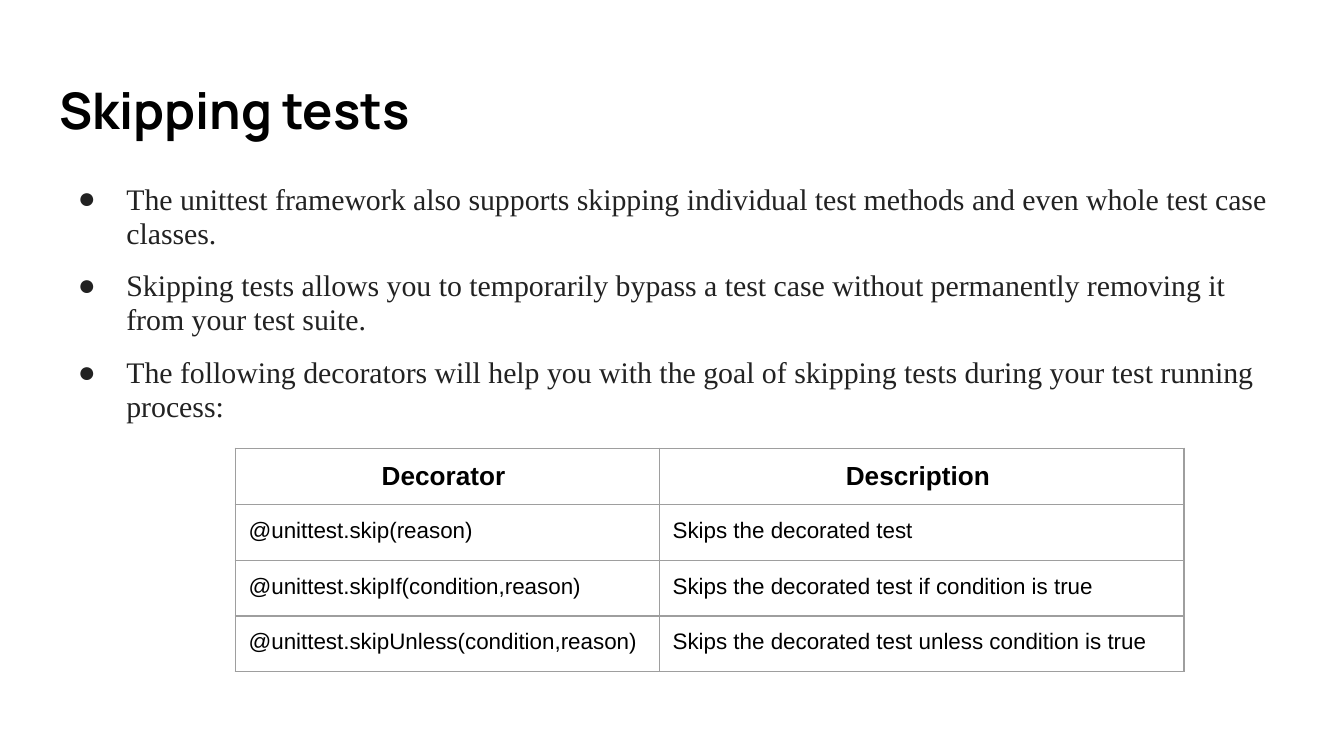
from lxml.etree import SubElement
from pptx import Presentation
from pptx.dml.color import RGBColor
from pptx.enum.text import MSO_ANCHOR, MSO_AUTO_SIZE, PP_ALIGN
from pptx.oxml.ns import qn
from pptx.util import Emu, Pt

PX = 4572  # 200 px to the inch
SLIDE_WIDTH, SLIDE_HEIGHT = 2000, 1125
INSET = 20
LEFT, WIDTH = 68, 1864

BLACK = RGBColor(0x00, 0x00, 0x00)
DARK_GRAY = RGBColor(0x22, 0x22, 0x22)
BORDER_GRAY = RGBColor(0x9E, 0x9E, 0x9E)

BULLETS = [
    "The unittest framework also supports skipping individual test methods "
    "and even whole test case classes.",
    "Skipping tests allows you to temporarily bypass a test case without "
    "permanently removing it from your test suite.",
    "The following decorators will help you with the goal of skipping tests "
    "during your test running process:",
]
ROWS = [
    ("Decorator ", "Description "),
    ("@unittest.skip(reason)", "Skips the decorated test"),
    ("@unittest.skipIf(condition,reason)",
     "Skips the decorated test if condition is true"),
    ("@unittest.skipUnless(condition,reason)",
     "Skips the decorated test unless condition is true"),
]
COLUMN_WIDTHS = (631, 781)
ROW_HEIGHT = 83


def px(length):
    return Emu(length * PX)


def set_font(paragraph, name, size, color, bold=False):
    font = paragraph.font
    font.name, font.size, font.bold = name, Pt(size), bold
    font.color.rgb = color


def set_insets(target):
    target.margin_left = target.margin_right = px(INSET)
    target.margin_top = target.margin_bottom = px(INSET)


def place_placeholder(shape, top, height):
    shape.left, shape.top = px(LEFT), px(top)
    shape.width, shape.height = px(WIDTH), px(height)
    frame = shape.text_frame
    set_insets(frame)
    frame.word_wrap = True
    frame.auto_size = MSO_AUTO_SIZE.NONE
    frame.vertical_anchor = MSO_ANCHOR.TOP
    return frame


def set_bullet(paragraph, character, color):
    properties = paragraph._p.get_or_add_pPr()
    properties.set("marL", str(px(100)))
    properties.set("indent", str(px(-72)))
    bullet_color = SubElement(properties, qn("a:buClr"))
    SubElement(bullet_color, qn("a:srgbClr"), val=str(color))
    SubElement(properties, qn("a:buFont"), typeface="Times New Roman")
    SubElement(properties, qn("a:buChar"), char=character)


def set_borders(cell, color, width):
    properties = cell._tc.get_or_add_tcPr()
    for side in ("a:lnL", "a:lnR", "a:lnT", "a:lnB"):
        line = SubElement(properties, qn(side), w=str(Pt(width)))
        fill = SubElement(line, qn("a:solidFill"))
        SubElement(fill, qn("a:srgbClr"), val=str(color))


def add_title(slide, text):
    frame = place_placeholder(slide.shapes.title, 98, 136)
    frame.text = text
    paragraph = frame.paragraphs[0]
    paragraph.alignment = PP_ALIGN.LEFT
    set_font(paragraph, "Manrope", 27, BLACK, bold=True)


def add_bullets(slide, texts):
    frame = place_placeholder(slide.placeholders[1], 252, 434)
    frame.text = "\n".join(texts)
    for index, paragraph in enumerate(frame.paragraphs):
        set_bullet(paragraph, "●", DARK_GRAY)
        paragraph.line_spacing = 0.95
        paragraph.space_before = Pt(10 if index else 0)
        set_font(paragraph, "Times New Roman", 16, DARK_GRAY)


def fill_cell(cell, text, is_header):
    cell.text = text
    set_insets(cell)
    set_borders(cell, BORDER_GRAY, 0.75)
    cell.fill.background()
    paragraph = cell.text_frame.paragraphs[0]
    paragraph.alignment = PP_ALIGN.CENTER if is_header else PP_ALIGN.LEFT
    set_font(paragraph, "Arial", 14 if is_header else 12, BLACK, is_header)


def add_decorator_table(slide):
    table = slide.shapes.add_table(
        len(ROWS), len(COLUMN_WIDTHS), px(350), px(667),
        px(sum(COLUMN_WIDTHS)), px(ROW_HEIGHT * len(ROWS))).table
    table.first_row = table.horz_banding = False
    for column, width in zip(table.columns, COLUMN_WIDTHS):
        column.width = px(width)
    for row_index, texts in enumerate(ROWS):
        table.rows[row_index].height = px(ROW_HEIGHT)
        for column_index, text in enumerate(texts):
            fill_cell(table.cell(row_index, column_index), text, row_index == 0)


def main():
    presentation = Presentation()
    presentation.slide_width = px(SLIDE_WIDTH)
    presentation.slide_height = px(SLIDE_HEIGHT)
    slide = presentation.slides.add_slide(presentation.slide_layouts[1])

    # Heading and explanation
    add_title(slide, "Skipping tests")
    add_bullets(slide, BULLETS)

    # Decorator reference
    add_decorator_table(slide)

    presentation.save("out.pptx")


if __name__ == "__main__":
    main()
